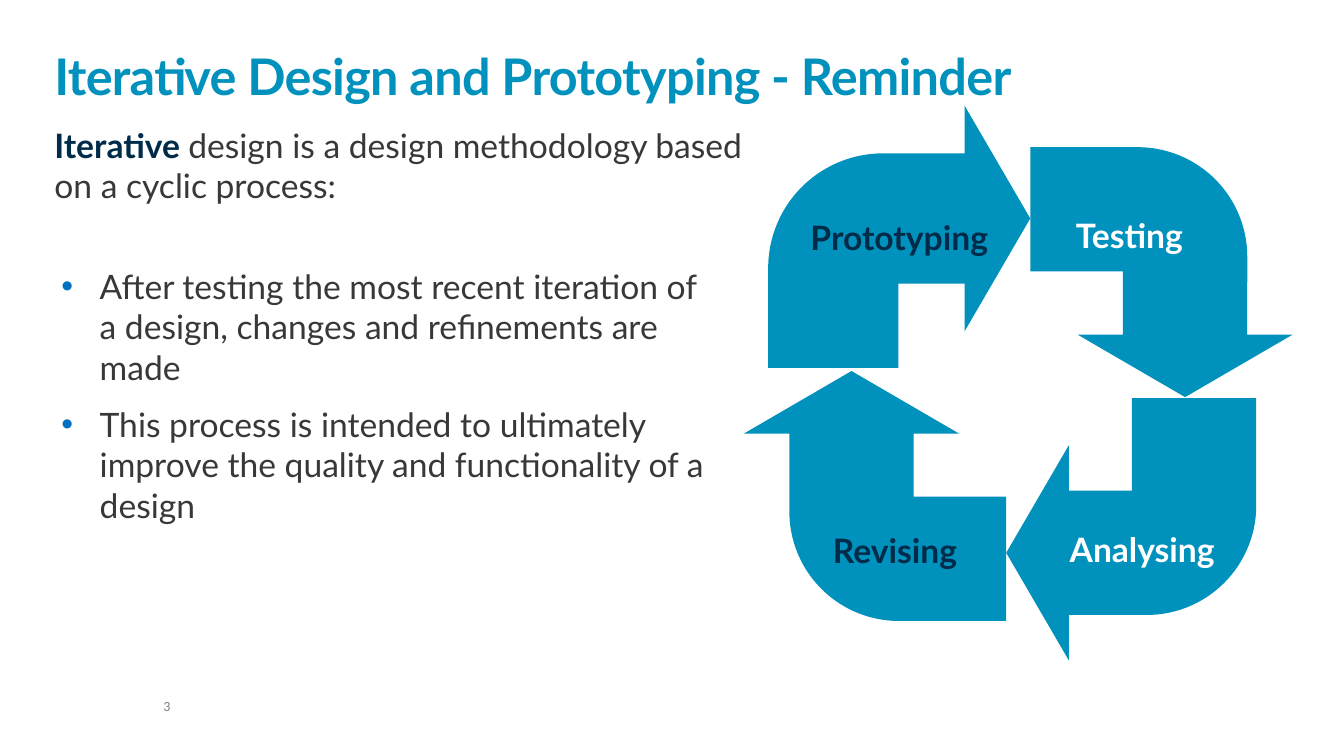
from dataclasses import dataclass
from typing import Any

from lxml import etree
from pptx import Presentation
from pptx.dml.color import RGBColor
from pptx.enum.shapes import MSO_SHAPE
from pptx.enum.text import MSO_ANCHOR, MSO_AUTO_SIZE, PP_ALIGN
from pptx.oxml.ns import qn
from pptx.util import Emu, Inches, Pt

BENT_ARROW = MSO_SHAPE.BENT_ARROW
BOTTOM, MIDDLE, TOP = MSO_ANCHOR.BOTTOM, MSO_ANCHOR.MIDDLE, MSO_ANCHOR.TOP
NO_AUTOFIT = MSO_AUTO_SIZE.NONE
LEFT, CENTER = PP_ALIGN.LEFT, PP_ALIGN.CENTER

SLIDE_WIDTH, SLIDE_HEIGHT = Inches(13.33), Inches(7.5)
TEAL, NAVY, CHARCOAL = "0091BD", "002B49", "383838"
WHITE, GREY, BULLET_BLUE = "FFFFFF", "7F7F7F", "0070C0"
ARROW_ADJUSTMENTS = (0.497, 0.43, 0.25, 0.438)
HANGING_INDENT = Inches(0.38)


@dataclass(frozen=True)
class Box:
    """A frame in percent of the slide's width and height."""
    left: float
    top: float
    width: float
    height: float

    def lengths(self) -> dict[str, Emu]:
        return {
            "left": Emu(round(SLIDE_WIDTH * self.left / 100)),
            "top": Emu(round(SLIDE_HEIGHT * self.top / 100)),
            "width": Emu(round(SLIDE_WIDTH * self.width / 100)),
            "height": Emu(round(SLIDE_HEIGHT * self.height / 100)),
        }


@dataclass(frozen=True)
class Run:
    text: str
    color: str
    size: float = 24
    bold: bool = False
    font: str = "Lato"


@dataclass(frozen=True)
class CycleArrow:
    box: Box
    rotation: int
    caption: Run | None = None


@dataclass(frozen=True)
class Label:
    box: Box
    run: Run
    wrap: bool = True


TITLE_BOX = Box(4.05, 4.27, 91.75, 9.73)
INTRO_BOX = Box(4.05, 16.53, 51.31, 11.07)
BULLETS_BOX = Box(3.83, 34.53, 50.04, 35.87)

TITLE = Run("Iterative Design and Prototyping - Reminder", TEAL, 36, True)
INTRO = (
    Run("Iterative ", NAVY, bold=True),
    Run("design is a design methodology based on a cyclic process:", CHARCOAL),
)
BULLETS = (
    "After testing the most recent iteration of a design, changes and refinements are made",
    "This process is intended to ultimately improve the quality and functionality of a design",
)
ARROWS = (
    CycleArrow(Box(57.16, 14, 19.5, 34.67), 0, Run("Prototyping", NAVY, bold=True)),
    CycleArrow(Box(77.12, 18.67, 18.6, 34.67), 90),
    CycleArrow(Box(74.87, 52.67, 18.6, 34.67), 180),
    CycleArrow(Box(55.81, 48.27, 18.6, 34.67), 270),
)
LABELS = (
    Label(Box(80.05, 29.07, 8.33, 4.8), Run("Testing", WHITE, bold=True), wrap=False),
    Label(Box(79.59, 70.53, 11.55, 4.8), Run("Analysing", WHITE, bold=True)),
    Label(Box(61.97, 70.67, 11.55, 4.8), Run("Revising", NAVY, bold=True)),
    Label(Box(12.15, 92.53, 8.93, 2), Run("3", GREY, 10, font="Calibri")),
)

NO_MARGINS = dict.fromkeys(("margin_left", "margin_top", "margin_right", "margin_bottom"), 0)
PLAIN_FRAME = {"word_wrap": True, "auto_size": NO_AUTOFIT, "vertical_anchor": TOP}
TIGHT_FRAME = {**PLAIN_FRAME, **NO_MARGINS}
TITLE_FORMAT = {"line_spacing": 0.85, "alignment": LEFT}
LABEL_FORMAT = {"line_spacing": 0.9, "space_after": Pt(6)}
BODY_FORMAT = {"space_before": Pt(12)}


def rgb(color: str) -> RGBColor:
    return RGBColor.from_string(color)


def apply_format(target: Any, values: dict[str, Any]) -> None:
    for name, value in values.items():
        setattr(target, name, value)


def write_runs(paragraph: Any, runs: tuple[Run, ...], values: dict[str, Any]) -> None:
    apply_format(paragraph, values)
    for item in runs:
        run = paragraph.add_run()
        run.text = item.text
        apply_format(run.font, {"name": item.font, "size": Pt(item.size), "bold": item.bold})
        run.font.color.rgb = rgb(item.color)


def add_text_frame(slide: Any, box: Box, values: dict[str, Any]) -> Any:
    text_frame = slide.shapes.add_textbox(**box.lengths()).text_frame
    apply_format(text_frame, values)
    return text_frame


def add_bullet(paragraph: Any) -> None:
    properties = paragraph._p.get_or_add_pPr()
    properties.set("marL", str(HANGING_INDENT))
    properties.set("indent", str(-HANGING_INDENT))
    color = etree.SubElement(properties, qn("a:buClr"))
    etree.SubElement(color, qn("a:srgbClr"), val=BULLET_BLUE)
    etree.SubElement(properties, qn("a:buFont"), typeface="Arial")
    etree.SubElement(properties, qn("a:buChar"), char="•")


def set_title(slide: Any) -> None:
    title = slide.shapes.title
    apply_format(title, TITLE_BOX.lengths())
    apply_format(title.text_frame, {**TIGHT_FRAME, "vertical_anchor": BOTTOM})
    paragraph = title.text_frame.paragraphs[0]
    write_runs(paragraph, (TITLE,), TITLE_FORMAT)
    paragraph.runs[0].font._element.set("spc", "-50")


def add_arrow(slide: Any, arrow: CycleArrow) -> None:
    shape = slide.shapes.add_shape(BENT_ARROW, **arrow.box.lengths())
    shape.rotation = arrow.rotation
    shape.shadow.inherit = False
    shape.fill.solid()
    shape.fill.fore_color.rgb = rgb(TEAL)
    shape.line.fill.background()
    for index, value in enumerate(ARROW_ADJUSTMENTS):
        shape.adjustments[index] = value
    if arrow.caption:
        shape.text_frame.vertical_anchor = MIDDLE
        write_runs(shape.text_frame.paragraphs[0], (arrow.caption,), {"alignment": CENTER})


def add_label(slide: Any, label: Label) -> None:
    text_frame = add_text_frame(slide, label.box, {**TIGHT_FRAME, "word_wrap": label.wrap})
    write_runs(text_frame.paragraphs[0], (label.run,), LABEL_FORMAT)


def add_bullets(slide: Any) -> None:
    text_frame = add_text_frame(slide, BULLETS_BOX, PLAIN_FRAME)
    for index, text in enumerate(BULLETS):
        paragraph = text_frame.add_paragraph() if index else text_frame.paragraphs[0]
        write_runs(paragraph, (Run(text, CHARCOAL),), BODY_FORMAT)
        add_bullet(paragraph)


def main() -> None:
    presentation = Presentation()
    apply_format(presentation, {"slide_width": SLIDE_WIDTH, "slide_height": SLIDE_HEIGHT})
    slide = presentation.slides.add_slide(presentation.slide_layouts.get_by_name("Title Only"))
    set_title(slide)
    intro = add_text_frame(slide, INTRO_BOX, TIGHT_FRAME)
    write_runs(intro.paragraphs[0], INTRO, BODY_FORMAT)
    for arrow in ARROWS:
        add_arrow(slide, arrow)
    for label in LABELS:
        add_label(slide, label)
    add_bullets(slide)
    presentation.save("out.pptx")


if __name__ == "__main__":
    main()
